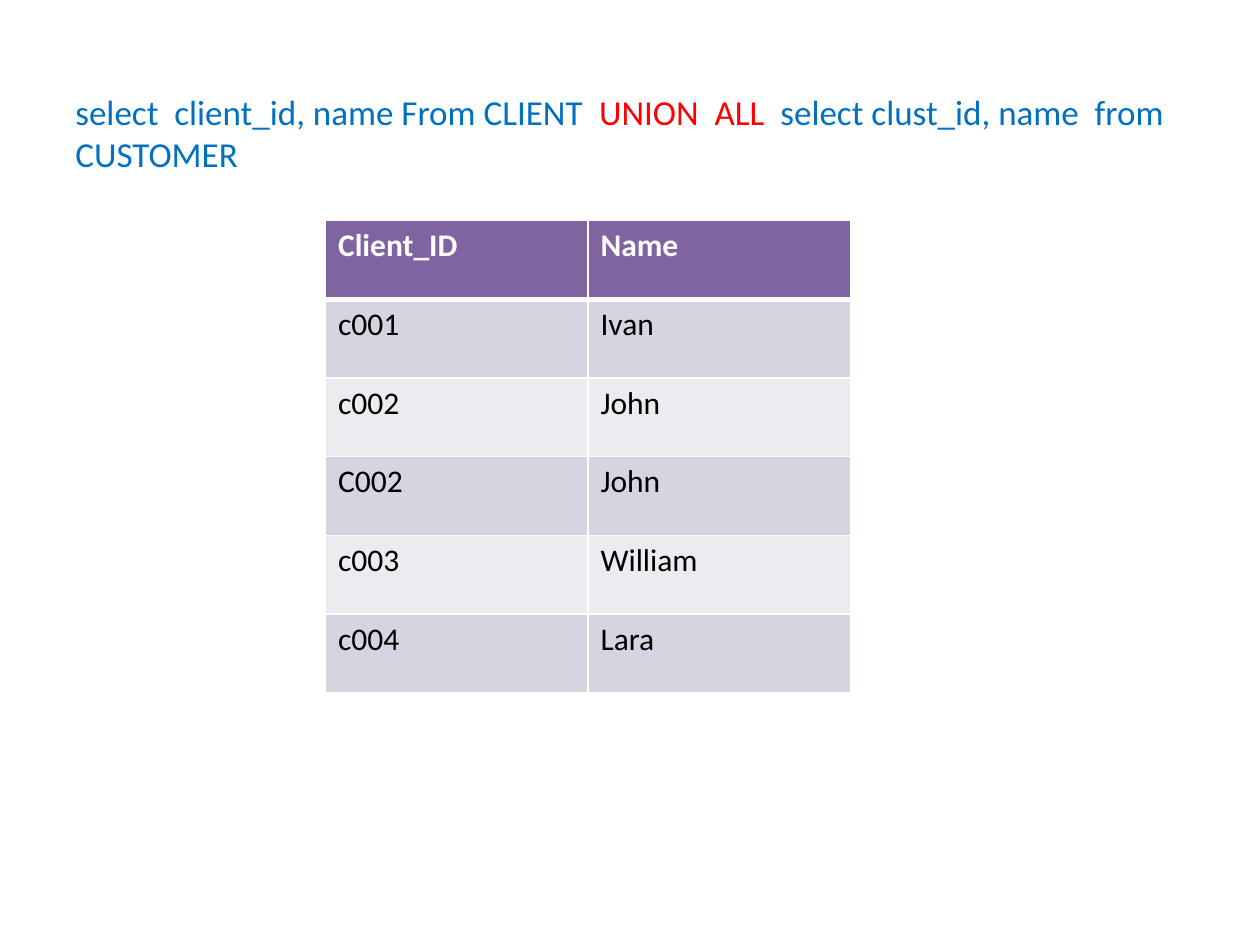
from lxml.etree import SubElement
from pptx import Presentation
from pptx.dml.color import RGBColor
from pptx.enum.text import MSO_AUTO_SIZE
from pptx.oxml.ns import qn
from pptx.util import Pt

FONT = "Calibri"
BLUE = RGBColor(0x00, 0x70, 0xC0)
RED = RGBColor(0xFF, 0x00, 0x00)
WHITE = RGBColor(0xFF, 0xFF, 0xFF)
BLACK = RGBColor(0x00, 0x00, 0x00)
PURPLE = RGBColor(0x80, 0x64, 0xA2)
BANDS = (RGBColor(0xD8, 0xD3, 0xE0), RGBColor(0xED, 0xEA, 0xF0))

QUERY = (
    ("select  client_id, name From CLIENT  ", BLUE),
    ("UNION  ALL", RED),
    ("  select clust_id, name  from  CUSTOMER", BLUE),
)
CLIENTS = (
    ("Client_ID", "Name"),
    ("c001", "Ivan"),
    ("c002", "John"),
    ("C002", "John"),
    ("c003", "William"),
    ("c004", "Lara"),
)


def style_font(font, size, color, bold=False):
    """Apply the slide's typeface with a size, colour and weight."""
    font.name = FONT
    font.size = Pt(size)
    font.bold = bold
    font.color.rgb = color


def add_query(slide, left, top, width, height):
    """Write the SQL query with its set operator highlighted."""
    query = slide.shapes.add_textbox(Pt(left), Pt(top), Pt(width), Pt(height))
    frame = query.text_frame
    frame.word_wrap = True
    frame.auto_size = MSO_AUTO_SIZE.SHAPE_TO_FIT_TEXT
    for clause, color in QUERY:
        run = frame.paragraphs[0].add_run()
        run.text = clause
        style_font(run.font, 20, color)


def add_borders(cell, top, bottom):
    """Draw white borders around a cell, with the given top and bottom widths."""
    properties = cell._tc.get_or_add_tcPr()
    for side, width in (("L", 1), ("R", 1), ("T", top), ("B", bottom)):
        line = SubElement(properties, qn(f"a:ln{side}"), w=str(Pt(width)))
        fill = SubElement(line, qn("a:solidFill"))
        SubElement(fill, qn("a:srgbClr"), val=str(WHITE))


def add_result(slide, left, top, width, height):
    """Build the banded table of rows that the query returns."""
    rows, columns = len(CLIENTS), len(CLIENTS[0])
    result = slide.shapes.add_table(
        rows, columns, Pt(left), Pt(top), Pt(width), Pt(height)
    ).table
    for column in result.columns:
        column.width = Pt(width / columns)
    for row_index, record in enumerate(CLIENTS):
        result.rows[row_index].height = Pt(height / rows)
        is_header = row_index == 0
        for column_index, value in enumerate(record):
            cell = result.cell(row_index, column_index)
            add_borders(cell, 3 if row_index == 1 else 1, 3 if is_header else 1)
            cell.fill.solid()
            cell.fill.fore_color.rgb = PURPLE if is_header else BANDS[(row_index - 1) % 2]
            cell.text_frame.text = value
            font = cell.text_frame.paragraphs[0].runs[0].font
            style_font(font, 18, WHITE if is_header else BLACK, is_header)


def main():
    """Create the slide on union queries and save it."""
    presentation = Presentation()
    presentation.slide_width = Pt(720)
    presentation.slide_height = Pt(540)
    slide = presentation.slides.add_slide(presentation.slide_layouts[6])
    add_query(slide, 36, 48, 654, 55.7)
    add_result(slide, 186, 126, 300, 270)
    presentation.save("out.pptx")


if __name__ == "__main__":
    main()
